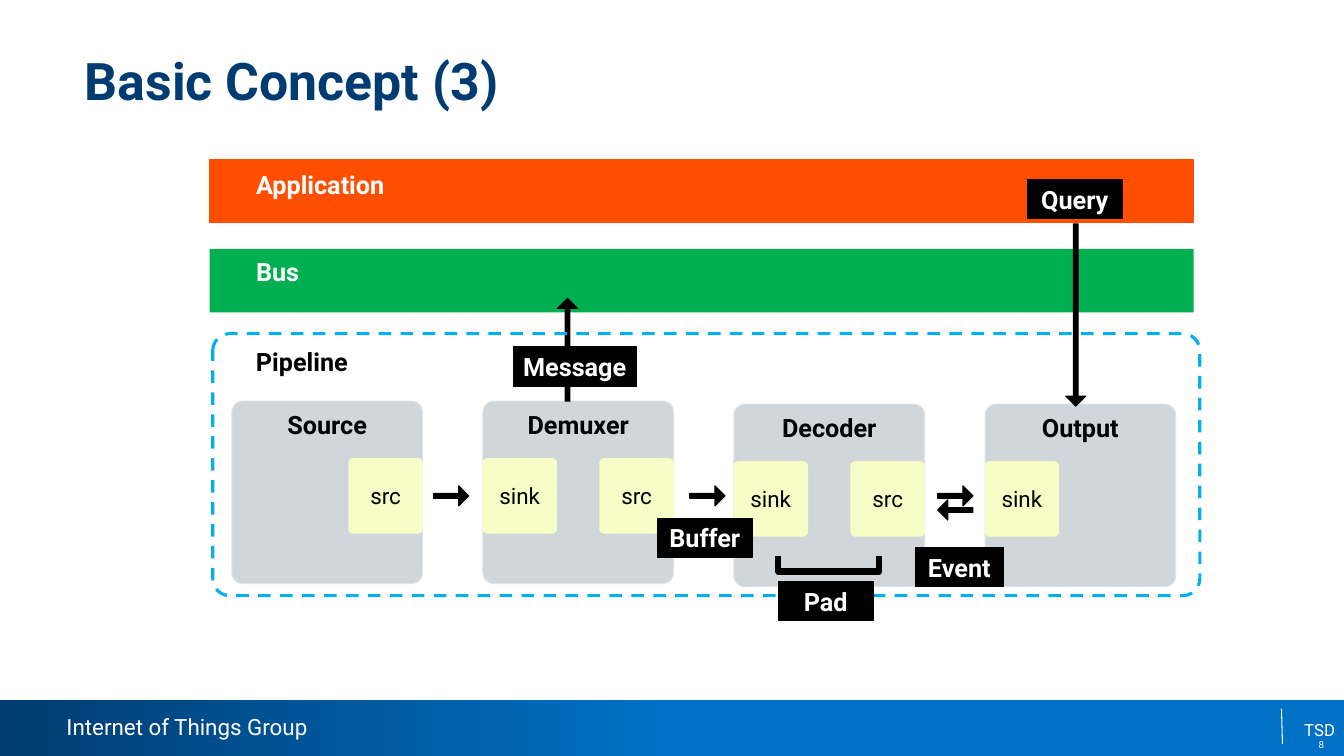
from pptx import Presentation
from pptx.dml.color import RGBColor
from pptx.enum.dml import MSO_LINE
from pptx.enum.shapes import MSO_CONNECTOR, MSO_SHAPE
from pptx.enum.text import MSO_ANCHOR, MSO_AUTO_SIZE, PP_ALIGN
from pptx.oxml import parse_xml
from pptx.oxml.ns import nsdecls
from pptx.util import Inches, Pt

# Content
WIDTH, HEIGHT = 13.33, 7.5
FONT = "Roboto"
COLORS = {
    "navy": "003C71", "blue": "0071C5", "sky": "00B0F0", "orange": "FF4E00",
    "green": "00B050", "gray": "D0D6D9", "edge": "E0E3E5", "cream": "F6FDC7",
    "black": "000000", "white": "FFFFFF",
}
TITLE = "Basic Concept (3)"
BARS = [  # name, color, outline, top, text offset
    ("Application", "orange", "orange", 1.58, 0.1),
    ("Bus", "green", None, 2.47, 0.07),
]
ELEMENTS = [  # name, top, pads
    ("Source", 3.98, ["src"]),
    ("Demuxer", 3.98, ["src", "sink"]),
    ("Decoder", 4.01, ["src", "sink"]),
    ("Output", 4.01, ["sink"]),
]
ARROWS = [  # preset, left, top, length
    (MSO_SHAPE.DOWN_ARROW, 10.57, 2.22, 1.81),
    (MSO_SHAPE.UP_ARROW, 5.53, 2.96, 1.02),
    (MSO_SHAPE.RIGHT_ARROW, 4.3, 4.82, 0.35),
    (MSO_SHAPE.RIGHT_ARROW, 6.84, 4.82, 0.35),
    (MSO_SHAPE.RIGHT_ARROW, 9.3, 4.82, 0.35),
    (MSO_SHAPE.LEFT_ARROW, 9.3, 4.96, 0.35),
]
LABELS = [  # text, left, top, width
    ("Event", 9.08, 5.43, 0.87),
    ("Query", 10.19, 1.78, 0.94),
    ("Buffer", 6.52, 5.14, 0.94),
    ("Message", 5.09, 3.44, 1.22),
    ("Pad", 7.72, 5.77, 0.94),
]
FOOTER = [  # text, box, size, alignment, insets
    ("Internet of Things Group", (0.66, 7.08, 2.5, 0.27), 16, PP_ALIGN.LEFT, (0, 0)),
    ("TSD", (12.34, 7.09, 1, 0.3), 12, PP_ALIGN.RIGHT, (0.1, 0.05)),
    ("8", (10.12, 7.28, 3.11, 0.2), 7, PP_ALIGN.RIGHT, (0.1, 0.05)),
]

# Layout
BAR_LEFT, BAR_WIDTH, BAR_HEIGHT = 2.08, 9.76, 0.63
ELEMENT_LEFT, ELEMENT_PITCH = 2.3, 2.49
ELEMENT_WIDTH, ELEMENT_HEIGHT = 1.89, 1.81
PAD_WIDTH, PAD_HEIGHT, PAD_DROP = 0.73, 0.74, 0.57
ARROW_THICKNESS = 0.2
LABEL_HEIGHT = 0.39
FOOTER_TOP = 6.94

presentation = Presentation()
presentation.slide_width, presentation.slide_height = Inches(WIDTH), Inches(HEIGHT)
slide = presentation.slides.add_slide(presentation.slide_layouts[5])


def color(name):
    return RGBColor.from_string(COLORS[name])


def write(shape, content, size, ink, bold=False, align=PP_ALIGN.CENTER,
          anchor=MSO_ANCHOR.MIDDLE, left=0, top=0, right=0, wrap=True):
    frame = shape.text_frame
    frame.margin_left, frame.margin_right = Inches(left), Inches(right)
    frame.margin_top, frame.margin_bottom = Inches(top), 0
    frame.word_wrap, frame.auto_size = wrap, MSO_AUTO_SIZE.NONE
    frame.vertical_anchor = anchor
    frame.text = content
    paragraph = frame.paragraphs[0]
    paragraph.alignment = align
    font = paragraph.font
    font.name, font.size, font.bold = FONT, Pt(size), bold
    font.color.rgb = color(ink)


def add_shape(preset, box, fill=None, outline=None, weight=0.75, adjust=()):
    shape = slide.shapes.add_shape(preset, *map(Inches, box))
    shape.shadow.inherit = False
    for index, value in enumerate(adjust):
        shape.adjustments[index] = value
    if fill:
        shape.fill.solid()
        shape.fill.fore_color.rgb = color(fill)
    else:
        shape.fill.background()
    if outline:
        shape.line.color.rgb = color(outline)
        shape.line.width = Pt(weight)
    else:
        shape.line.fill.background()
    return shape


# Footer
band = add_shape(MSO_SHAPE.RECTANGLE, (0, FOOTER_TOP, WIDTH, HEIGHT - FOOTER_TOP))
band.fill.gradient()
band.fill.gradient_angle = 0
for stop, name, position in zip(band.fill.gradient_stops, ("navy", "blue"), (0, 0.5)):
    stop.color.rgb = color(name)
    stop.position = position
divider = slide.shapes.add_connector(
    MSO_CONNECTOR.STRAIGHT, *map(Inches, (12.71, 7.03, 12.72, 7.38)))
divider.line.color.rgb = color("white")
divider.line.width = Pt(0.75)
divider._element.spPr.append(parse_xml(f"<a:effectLst {nsdecls('a')}/>"))
for content, box, size, align, (side, top) in FOOTER:
    write(slide.shapes.add_textbox(*map(Inches, box)), content, size, "white",
          align=align, anchor=MSO_ANCHOR.TOP, left=side, top=top, right=side)

# Title
title = slide.shapes.title
title.left, title.top, title.width, title.height = map(Inches, (0.84, 0.48, 12, 1.27))
write(title, TITLE, 37, "navy", True, PP_ALIGN.LEFT, MSO_ANCHOR.TOP)

# Application and bus bars
for name, fill, outline, top, offset in BARS:
    bar = add_shape(MSO_SHAPE.RECTANGLE, (BAR_LEFT, top, BAR_WIDTH, BAR_HEIGHT), fill, outline)
    write(bar, name, 18, "white", True, PP_ALIGN.LEFT, MSO_ANCHOR.TOP, left=0.46, top=offset)

# Elements with their pads
for column, (name, top, pads) in enumerate(ELEMENTS):
    left = ELEMENT_LEFT + column * ELEMENT_PITCH
    element = add_shape(MSO_SHAPE.ROUNDED_RECTANGLE,
                        (left, top, ELEMENT_WIDTH, ELEMENT_HEIGHT), "gray", "edge", adjust=[0.06])
    write(element, name, 18, "black", True, anchor=MSO_ANCHOR.TOP, top=0.05)
    for kind in pads:
        pad_left = left + (ELEMENT_WIDTH - PAD_WIDTH if kind == "src" else 0)
        pad = add_shape(MSO_SHAPE.ROUNDED_RECTANGLE,
                        (pad_left, top + PAD_DROP, PAD_WIDTH, PAD_HEIGHT),
                        "cream", "cream", adjust=[0.06])
        write(pad, kind, 16, "black", wrap=False)

# Arrows
for preset, left, top, length in ARROWS:
    vertical = preset in (MSO_SHAPE.DOWN_ARROW, MSO_SHAPE.UP_ARROW)
    extent = (ARROW_THICKNESS, length) if vertical else (length, ARROW_THICKNESS)
    add_shape(preset, (left, top, *extent), "black", "black", adjust=[0.238, 0.5])

# Pipeline frame
pipeline = add_shape(MSO_SHAPE.ROUNDED_RECTANGLE, (2.11, 3.31, 9.79, 2.6),
                     outline="sky", weight=2.25, adjust=[0.065])
pipeline.line.dash_style = MSO_LINE.DASH
write(pipeline, "Pipeline", 18, "black", True, PP_ALIGN.LEFT, MSO_ANCHOR.TOP, left=0.38, top=0.08)

# Bracket under the decoder pads
builder = slide.shapes.build_freeform(Inches(7.72), Inches(5.52))
builder.add_line_segments(
    [(Inches(x), Inches(y)) for x, y in ((7.72, 5.67), (8.72, 5.67), (8.72, 5.52))], close=False)
bracket = builder.convert_to_shape()
bracket.shadow.inherit = False
bracket.fill.background()
bracket.line.color.rgb = color("black")
bracket.line.width = Pt(4.5)

# Black labels
for content, left, top, width in LABELS:
    label = add_shape(MSO_SHAPE.RECTANGLE, (left, top, width, LABEL_HEIGHT), "black", "black")
    write(label, content, 18, "white", True, wrap=False)

presentation.save("out.pptx")
